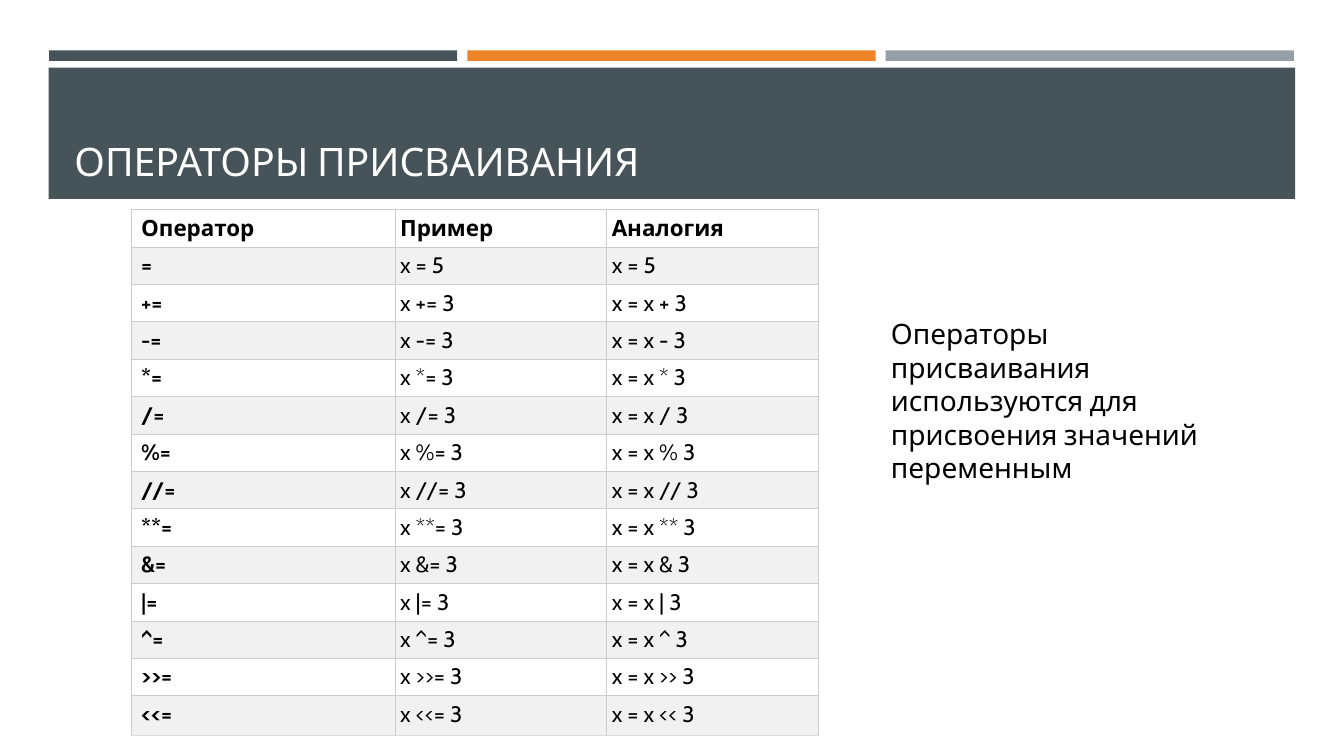
from lxml import etree
from pptx import Presentation
from pptx import util as u
from pptx.dml.color import RGBColor
from pptx.enum import shapes, text
from pptx.oxml.ns import qn

COLS, ROWS = 40, 20
SLATE, ORANGE, GREY = "465359", "ED8428", "969FA7"
WHITE, BLACK, STRIPE = "FFFFFF", "000000", "F1F1F1"
BORDER, LAST_BORDER = "CCCCCC", "DDDDDD"

HEADER = ("Оператор", "Пример", "Аналогия")
OPERATORS = ("+", "-", "*", "/", "%", "//", "**", "&", "|", "^", ">>", "<<")


def rgb(value):
    return RGBColor.from_string(value)


class Deck:
    """Holds the style and the current slide; lengths are grid columns and rows."""

    font = "Cabin"

    def __init__(self):
        self.prs = Presentation()
        self.prs.slide_width = u.Inches(13.33)
        self.prs.slide_height = u.Inches(7.5)
        self.s = self.prs.slides.add_slide(self.prs.slide_layouts[6])

    def x(self, cols):
        return round(self.prs.slide_width * cols / COLS)

    def y(self, rows):
        return round(self.prs.slide_height * rows / ROWS)

    def box(self, left, top, width, height):
        return self.x(left), self.y(top), self.x(width), self.y(height)

    def bar(self, left, top, width, height, color):
        sp = self.s.shapes.add_shape(shapes.MSO_SHAPE.RECTANGLE,
                                     *self.box(left, top, width, height))
        sp.shadow.inherit = False
        sp.fill.solid()
        sp.fill.fore_color.rgb = rgb(color)
        sp.line.fill.background()

    def add_run(self, tf, words, size, color=BLACK, bold=False):
        r = tf.paragraphs[0].add_run()
        r.text = words
        r.font.name, r.font.size, r.font.bold = self.font, u.Pt(size), bold
        r.font.color.rgb = rgb(color)

    def label(self, left, top, width, height, words, size, color=BLACK,
              anchor=text.MSO_ANCHOR.TOP):
        tf = self.s.shapes.add_textbox(*self.box(left, top, width, height)).text_frame
        tf.word_wrap = True
        tf.vertical_anchor = anchor
        self.add_run(tf, words, size, color)

    def border(self, cell, side, color):
        tc_pr = cell._tc.get_or_add_tcPr()
        ln = etree.SubElement(tc_pr, qn(f"a:ln{side}"), w=str(u.Pt(0.75)))
        fill = etree.SubElement(ln, qn("a:solidFill"))
        etree.SubElement(fill, qn("a:srgbClr"), val=color)

    def table(self, left, top, widths, heights, rows, size):
        frame = self.s.shapes.add_table(
            len(rows), len(widths), *self.box(left, top, sum(widths), sum(heights)))
        table = frame.table
        table.first_row = table.horz_banding = False
        for column, width in zip(table.columns, widths):
            column.width = self.x(width)
        for i, (row, height) in enumerate(zip(rows, heights)):
            table.rows[i].height = self.y(height)
            for j, words in enumerate(row):
                cell = table.cell(i, j)
                cell.margin_left = u.Inches(0.05 if j else 0.1)
                cell.margin_right = cell.margin_top = cell.margin_bottom = u.Inches(0.05)
                for side in "LRTB":
                    last = side == "B" and i == len(rows) - 1
                    self.border(cell, side, LAST_BORDER if last else BORDER)
                cell.fill.solid()
                cell.fill.fore_color.rgb = rgb(STRIPE if i % 2 else WHITE)
                self.add_run(cell.text_frame, words, size, bold=i == 0 or j == 0)


def main():
    deck = Deck()
    for i, color in enumerate((SLATE, ORANGE, GREY)):
        deck.bar(1.46 + 12.45 * i, 1.33, 12.15, 0.28, color)
    deck.bar(1.45, 1.79, 37.1, 3.47, SLATE)
    deck.label(1.92, 2.05, 36.18, 2.96, "ОПЕРАТОРЫ ПРИСВАИВАНИЯ", 28, WHITE,
               text.MSO_ANCHOR.BOTTOM)

    rows = [HEADER, ("=", "x = 5", "x = 5")]
    rows += [(f"{op}=", f"x {op}= 3", f"x = x {op} 3") for op in OPERATORS]
    heights = [0.99] * (len(rows) - 1) + [1.04]
    deck.table(3.9, 5.55, (7.86, 6.3, 6.3), heights, rows, 16)

    deck.label(26.22, 8.24, 11.25, 3.87,
               "Операторы присваивания используются для присвоения значений переменным", 20)
    deck.prs.save("out.pptx")


if __name__ == "__main__":
    main()
